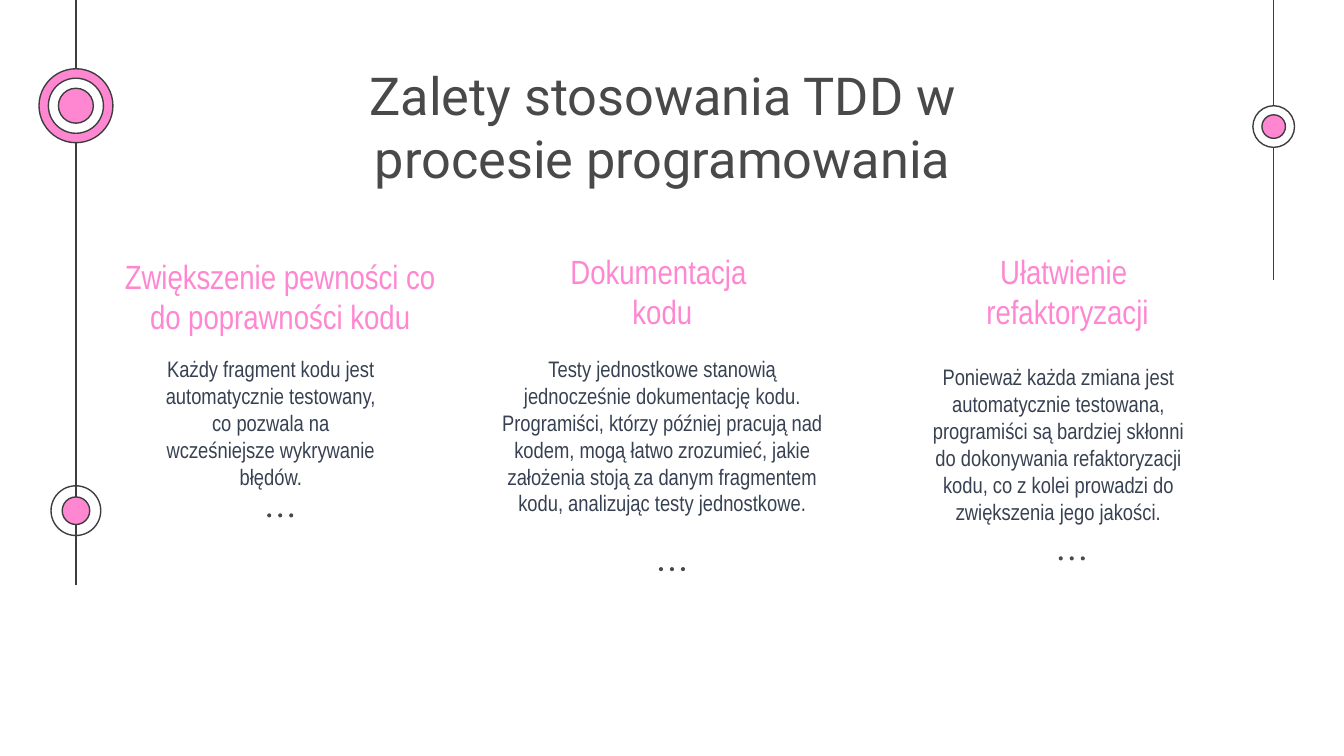
from dataclasses import dataclass

import pptx
import pptx.dml.color
import pptx.enum.shapes
import pptx.enum.text
import pptx.oxml.ns
import pptx.slide
import pptx.util
from lxml import etree

RGBColor = pptx.dml.color.RGBColor
PINK = RGBColor(0xFF, 0x87, 0xD1)
WHITE = RGBColor(0xFF, 0xFF, 0xFF)
OUTLINE = RGBColor(0x3D, 0x3D, 0x3D)
CHARCOAL = RGBColor(0x49, 0x49, 0x49)
SLATE = RGBColor(0x37, 0x41, 0x51)

SLIDE_WIDTH = pptx.util.Inches(10)
SLIDE_HEIGHT = pptx.util.Emu(SLIDE_WIDTH * 9 // 16)
COLUMNS = 100
CELL = SLIDE_WIDTH / COLUMNS
LINE_WIDTH = pptx.util.Pt(0.75)
DOT_SIZE = 0.3
DOT_STEP = 0.82


@dataclass(frozen=True)
class Rail:
    column: float
    end_row: float


@dataclass(frozen=True)
class Disc:
    column: float
    row: float
    diameter: float
    fill: RGBColor | None
    outline: RGBColor | None = OUTLINE


@dataclass(frozen=True)
class Box:
    column: float
    row: float
    width: float
    height: float


@dataclass(frozen=True)
class TextStyle:
    font: str
    size: float
    color: RGBColor


@dataclass(frozen=True)
class Advantage:
    heading: str
    heading_box: Box
    body: str
    body_box: Box
    dots_column: float
    dots_row: float


TITLE_STYLE = TextStyle("Roboto", 28, CHARCOAL)
HEADING_STYLE = TextStyle("Arial Narrow", 18, PINK)
BODY_STYLE = TextStyle("Arial Narrow", 12, SLATE)

LEFT_RAIL = Rail(5.65, 43.5)
RIGHT_RAIL = Rail(94.77, 20.8)

DISCS = [
    Disc(LEFT_RAIL.column, 38, 3.7, None),
    Disc(LEFT_RAIL.column, 38, 2.05, PINK),
    Disc(RIGHT_RAIL.column, 9.42, 3.1, WHITE),
    Disc(RIGHT_RAIL.column, 9.42, 1.75, PINK),
    Disc(LEFT_RAIL.column, 7.87, 5.5, PINK),
    Disc(LEFT_RAIL.column, 7.87, 4.1, WHITE),
    Disc(LEFT_RAIL.column, 7.87, 2.6, PINK),
]

ADVANTAGES = [
    Advantage(
        "Zwiększenie pewności co do poprawności kodu",
        Box(7.8, 18.03, 26.1, 3.6),
        "Każdy fragment kodu jest automatycznie testowany, co pozwala na "
        "wcześniejsze wykrywanie błędów.",
        Box(11.1, 25.43, 18.1, 11.8),
        20.85,
        38.35,
    ),
    Advantage(
        "Dokumentacja \nkodu",
        Box(38.03, 17.68, 22.5, 3.6),
        "Testy jednostkowe stanowią jednocześnie dokumentację kodu. "
        "Programiści, którzy później pracują nad kodem, mogą łatwo zrozumieć, "
        "jakie założenia stoją za danym fragmentem kodu, analizując testy "
        "jednostkowe.",
        Box(36.23, 25.43, 26.1, 11.8),
        50,
        42.35,
    ),
    Advantage(
        "Ułatwienie\n refaktoryzacji",
        Box(65.3, 17.68, 27.7, 3.6),
        "Ponieważ każda zmiana jest automatycznie testowana, programiści są "
        "bardziej skłonni do dokonywania refaktoryzacji kodu, co z kolei "
        "prowadzi do zwiększenia jego jakości.",
        Box(67.5, 26.03, 22.5, 11.8),
        79.75,
        41.55,
    ),
]


def cells(count: float) -> pptx.util.Emu:
    return pptx.util.Emu(round(count * CELL))


def draw_rail(slide: pptx.slide.Slide, rail: Rail) -> None:
    connector = slide.shapes.add_connector(
        pptx.enum.shapes.MSO_CONNECTOR.STRAIGHT,
        cells(rail.column), cells(0), cells(rail.column), cells(rail.end_row),
    )
    connector.line.color.rgb = OUTLINE
    connector.line.width = LINE_WIDTH
    properties = connector._element.spPr
    etree.SubElement(properties, pptx.oxml.ns.qn("a:effectLst"))


def draw_disc(slide: pptx.slide.Slide, disc: Disc) -> None:
    radius = disc.diameter / 2
    shape = slide.shapes.add_shape(
        pptx.enum.shapes.MSO_SHAPE.OVAL,
        cells(disc.column - radius), cells(disc.row - radius),
        cells(disc.diameter), cells(disc.diameter),
    )
    shape.shadow.inherit = False
    if disc.fill is None:
        shape.fill.background()
    else:
        shape.fill.solid()
        shape.fill.fore_color.rgb = disc.fill
    if disc.outline is None:
        shape.line.fill.background()
    else:
        shape.line.color.rgb = disc.outline
        shape.line.width = LINE_WIDTH


def draw_text(slide: pptx.slide.Slide, text: str, box: Box, style: TextStyle) -> None:
    shape = slide.shapes.add_textbox(
        cells(box.column), cells(box.row), cells(box.width), cells(box.height)
    )
    text_frame = shape.text_frame
    text_frame.word_wrap = True
    text_frame.margin_left = text_frame.margin_right = cells(1)
    text_frame.margin_top = text_frame.margin_bottom = cells(1)
    text_frame.vertical_anchor = pptx.enum.text.MSO_ANCHOR.TOP
    text_frame.text = text
    for paragraph in text_frame.paragraphs:
        paragraph.alignment = pptx.enum.text.PP_ALIGN.CENTER
        for run in paragraph.runs:
            run.font.name = style.font
            run.font.size = pptx.util.Pt(style.size)
            run.font.color.rgb = style.color


def draw_advantage(slide: pptx.slide.Slide, advantage: Advantage) -> None:
    for offset in (-1, 0, 1):
        column = advantage.dots_column + offset * DOT_STEP
        draw_disc(slide, Disc(column, advantage.dots_row, DOT_SIZE, CHARCOAL, None))
    draw_text(slide, advantage.heading, advantage.heading_box, HEADING_STYLE)
    draw_text(slide, advantage.body, advantage.body_box, BODY_STYLE)


def main() -> None:
    presentation = pptx.Presentation()
    presentation.slide_width = SLIDE_WIDTH
    presentation.slide_height = SLIDE_HEIGHT
    slide = presentation.slides.add_slide(presentation.slide_layouts[6])
    slide.background.fill.solid()
    slide.background.fill.fore_color.rgb = WHITE
    for rail in (LEFT_RAIL, RIGHT_RAIL):
        draw_rail(slide, rail)
    for disc in DISCS:
        draw_disc(slide, disc)
    draw_text(
        slide, "Zalety stosowania TDD w procesie programowania",
        Box(18.8, 3.7, 61, 6.5), TITLE_STYLE,
    )
    for advantage in ADVANTAGES:
        draw_advantage(slide, advantage)
    presentation.save("out.pptx")


if __name__ == "__main__":
    main()
